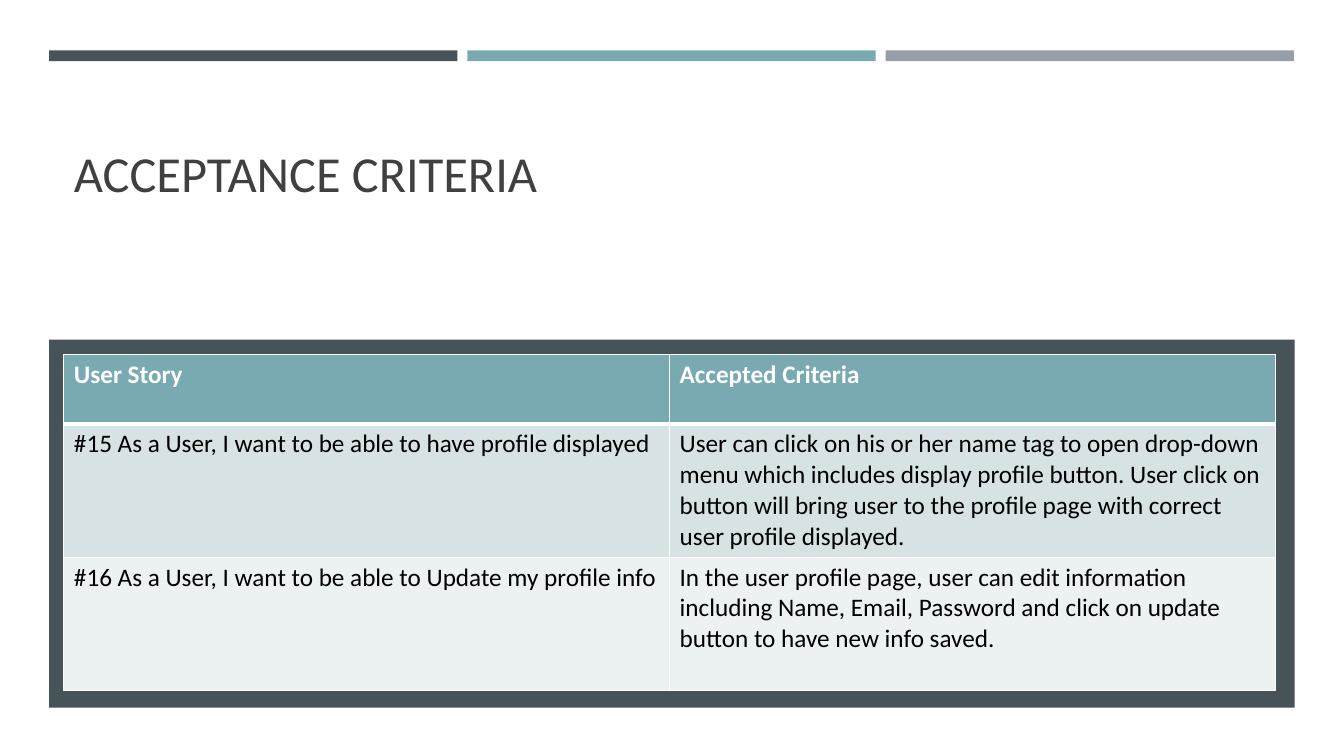
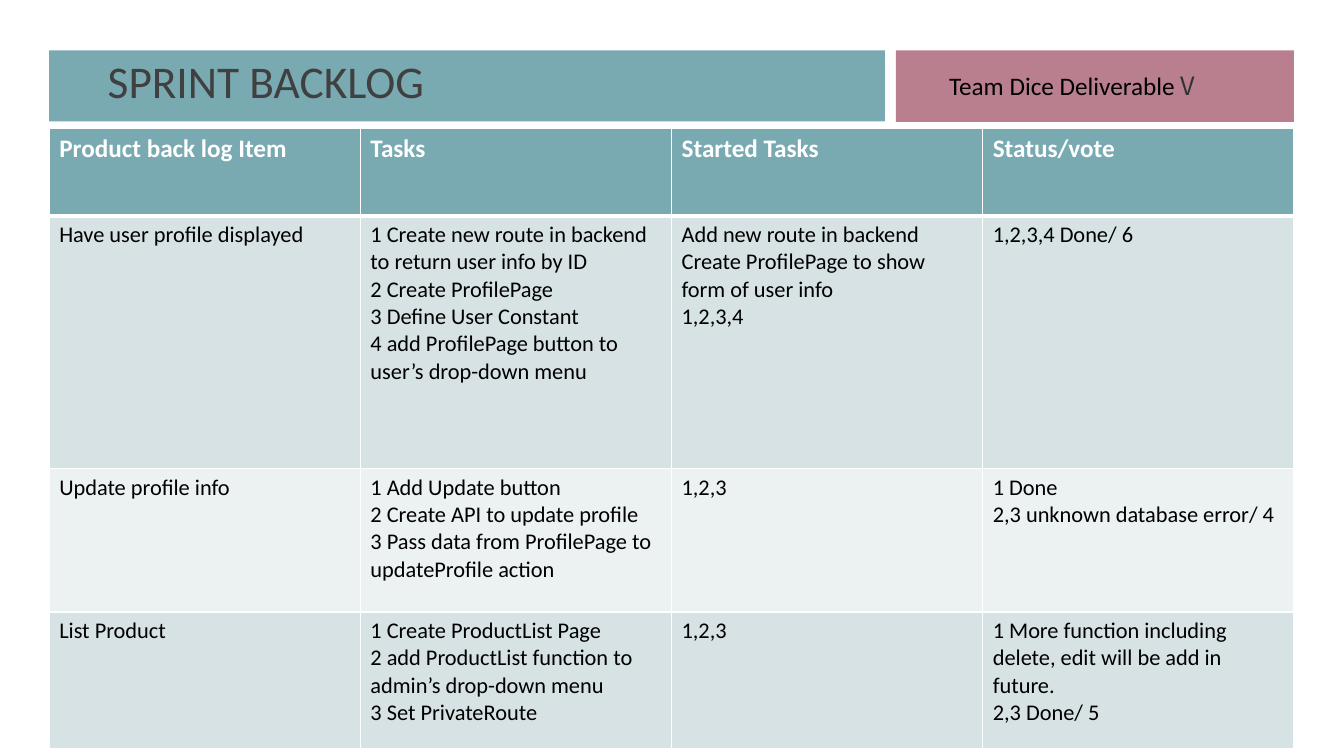
from lxml import etree
from pptx import Presentation
from pptx.dml.color import RGBColor
from pptx.enum.shapes import MSO_SHAPE
from pptx.enum.text import MSO_ANCHOR, MSO_AUTO_SIZE, PP_ALIGN
from pptx.oxml.ns import qn
from pptx.util import Cm, Pt

RECTANGLE = MSO_SHAPE.RECTANGLE
BOTTOM, LEFT = MSO_ANCHOR.BOTTOM, PP_ALIGN.LEFT
NO_FIT = MSO_AUTO_SIZE.NONE
TITLE_ONLY = 5

# Shared look
SLATE, TEAL, GREY, ROSE = "465359", "79AAB2", "969FA7", "BA7F8F"
ROW_FILLS = ("D7E2E4", "ECF1F2")
WHITE, BLACK, TITLE_COLOR = "FFFFFF", "000000", "404040"
FONT = "Calibri"
MARGIN, BAND_TOP = 1.24, 1.27
THIN, THICK = 1, 3

CRITERIA = (
    ("User Story", "Accepted Criteria"),
    ("#15 As a User, I want to be able to have profile displayed",
     "User can click on his or her name tag to open drop-down menu which "
     "includes display profile button. User click on button will bring user "
     "to the profile page with correct user profile displayed."),
    ("#16 As a User, I want to be able to Update my profile info",
     "In the user profile page, user can edit information including Name, "
     "Email, Password and click on update button to have new info saved."),
)
BACKLOG = (
    ("Product back log Item", "Tasks", "Started Tasks", "Status/vote"),
    ("Have user profile displayed",
     "1 Create new route in backend to return user info by ID\n"
     "2 Create ProfilePage\n3 Define User Constant\n"
     "4 add ProfilePage button to user’s drop-down menu",
     "Add new route in backend\n"
     "Create ProfilePage to show form of user info\n1,2,3,4",
     "1,2,3,4 Done/ 6"),
    ("Update profile info",
     "1 Add Update button\n2 Create API to update profile\n"
     "3 Pass data from ProfilePage to updateProfile action",
     "1,2,3",
     "1 Done\n2,3 unknown database error/ 4"),
    ("List Product",
     "1 Create ProductList Page\n"
     "2 add ProductList function to admin’s drop-down menu\n"
     "3 Set PrivateRoute",
     "1,2,3",
     "1 More function including delete, edit will be add in future.\n"
     "2,3 Done/ 5"),
)


def color(value):
    return RGBColor.from_string(value)


def apply_formats(target, formats):
    for name, value in formats.items():
        setattr(target, name, value)


def format_font(font, size, ink, name=FONT, bold=False):
    apply_formats(font, {"name": name, "size": Pt(size), "bold": bold})
    font.color.rgb = color(ink)


def add_band(slide, box, fill):
    band = slide.shapes.add_shape(RECTANGLE, *map(Cm, box))
    band.shadow.inherit = False
    band.fill.solid()
    band.fill.fore_color.rgb = color(fill)
    band.line.fill.background()


def set_title(slide, box, text, size):
    title = slide.shapes.title
    left, top, width, height = map(Cm, box)
    apply_formats(title, {"left": left, "top": top,
                          "width": width, "height": height})
    apply_formats(title.text_frame, {
        "text": text, "vertical_anchor": BOTTOM, "word_wrap": True,
        "auto_size": NO_FIT, "margin_top": 0})
    para = title.text_frame.paragraphs[0]
    para.alignment = LEFT
    format_font(para.font, size, TITLE_COLOR)
    # Bring the title in front of the bands
    slide.shapes.element.append(title.element)


def set_borders(cell, widths):
    properties = cell._tc.get_or_add_tcPr()
    for position, (side, width) in enumerate(widths.items()):
        line = etree.Element(qn(f"a:ln{side}"), w=str(Pt(width)))
        fill = etree.SubElement(line, qn("a:solidFill"))
        etree.SubElement(fill, qn("a:srgbClr"), val=WHITE)
        properties.insert(position, line)


def add_grid(slide, box, rows, heights, body_size):
    left, top, width = box
    columns = len(rows[0])
    frame = slide.shapes.add_table(len(rows), columns, Cm(left), Cm(top),
                                   Cm(width), Cm(sum(heights)))
    table = frame.table
    for column in table.columns:
        column.width = Cm(width / columns)
    for index, (texts, height) in enumerate(zip(rows, heights)):
        header = index == 0
        table.rows[index].height = Cm(height)
        for cell, text in zip(table.rows[index].cells, texts):
            cell.text = text
            cell.fill.solid()
            fill = TEAL if header else ROW_FILLS[(index - 1) % 2]
            cell.fill.fore_color.rgb = color(fill)
            set_borders(cell, {"L": THIN, "R": THIN,
                               "T": THICK if index == 1 else THIN,
                               "B": THICK if header else THIN})
            for para in cell.text_frame.paragraphs:
                format_font(para.font, 18 if header else body_size,
                            WHITE if header else BLACK, bold=header)


def add_team_label(slide, box):
    label = slide.shapes.add_textbox(*map(Cm, box))
    label.text_frame.word_wrap = True
    para = label.text_frame.paragraphs[0]
    for text, ink, name in (("Team Dice Deliverable ", BLACK, FONT),
                            ("V", "333333", "Noto Sans CJK SC")):
        span = para.add_run()
        span.text = text
        format_font(span.font, 18, ink, name)


def add_criteria_slide(deck):
    slide = deck.slides.add_slide(deck.slide_layouts[TITLE_ONLY])
    # Three equal bars across the top
    bar_width, gap = 10.29, 0.25
    for index, fill in enumerate((SLATE, TEAL, GREY)):
        left = MARGIN + index * (bar_width + gap)
        add_band(slide, (left, BAND_TOP, bar_width, 0.27), fill)
    # Dark panel behind the table
    panel_top, inset = 8.56, 0.37
    add_band(slide, (MARGIN, panel_top, 31.39, 9.27), SLATE)
    left, width = MARGIN + inset, 30.53
    set_title(slide, (left, 2.9, width, 2.34), "ACCEPTANCE CRITERIA", 36)
    add_grid(slide, (left, panel_top + inset, width), CRITERIA,
             (1.75, 3.36, 3.36), 18)


def add_backlog_slide(deck):
    slide = deck.slides.add_slide(deck.slide_layouts[TITLE_ONLY])
    # Title band and team band
    add_band(slide, (MARGIN, BAND_TOP, 21.06, 1.79), TEAL)
    add_band(slide, (22.58, BAND_TOP, 10.03, 1.8), ROSE)
    set_title(slide, (2.46, 1.35, 15.39, 1.48), "SPRINT BACKLOG", 32.4)
    add_team_label(slide, (23.67, 1.65, 7.72, 1.8))
    add_grid(slide, (MARGIN, 3.23, 31.37), BACKLOG,
             (2.21, 6.37, 3.61, 3.45), 16)


def main():
    deck = Presentation()
    deck.slide_width, deck.slide_height = Cm(33.87), Cm(19.05)
    add_criteria_slide(deck)
    add_backlog_slide(deck)
    deck.save("out.pptx")


if __name__ == "__main__":
    main()
